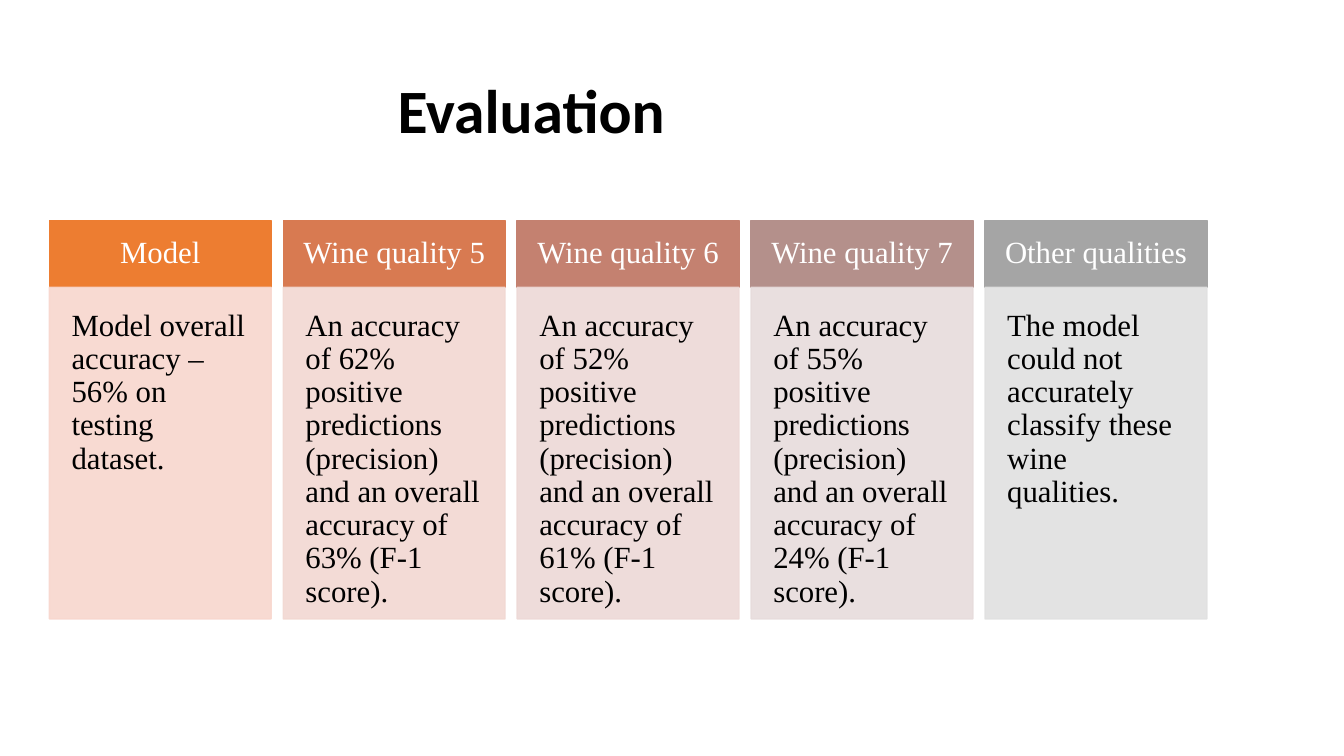
"""Build the model evaluation slide with five result columns."""
import lxml.etree
import pptx
import pptx.dml.color
import pptx.enum.shapes
import pptx.enum.text
import pptx.oxml.ns
import pptx.util

RGBColor = pptx.dml.color.RGBColor
Inches = pptx.util.Inches
Pt = pptx.util.Pt
ALIGN = pptx.enum.text.PP_ALIGN
ANCHOR = pptx.enum.text.MSO_ANCHOR

BLACK = RGBColor(0x00, 0x00, 0x00)
WHITE = RGBColor(0xFF, 0xFF, 0xFF)
ORANGE = RGBColor(0xED, 0x7D, 0x31)
COPPER = RGBColor(0xD8, 0x7A, 0x51)
ROSE = RGBColor(0xC4, 0x81, 0x70)
MAUVE = RGBColor(0xB4, 0x90, 0x8B)
GRAY = RGBColor(0xA5, 0xA5, 0xA5)
PALE_ORANGE = RGBColor(0xF8, 0xD7, 0xCE)
PALE_COPPER = RGBColor(0xF2, 0xD8, 0xD2)
PALE_ROSE = RGBColor(0xED, 0xD9, 0xD7)
PALE_MAUVE = RGBColor(0xE7, 0xDC, 0xDC)
PALE_GRAY = RGBColor(0xE1, 0xE1, 0xE1)

TITLE = "Evaluation"
SCORES = (
    "An accuracy of {}% positive predictions (precision) "
    "and an overall accuracy of {}% (F-1 score)."
)
RESULTS = [
    ("Model", "Model overall accuracy – 56% on testing dataset.", ORANGE, PALE_ORANGE),
    ("Wine quality 5", SCORES.format(62, 63), COPPER, PALE_COPPER),
    ("Wine quality 6", SCORES.format(52, 61), ROSE, PALE_ROSE),
    ("Wine quality 7", SCORES.format(55, 24), MAUVE, PALE_MAUVE),
    (
        "Other qualities",
        "The model could not accurately classify these wine qualities.",
        GRAY,
        PALE_GRAY,
    ),
]

SLIDE_WIDTH, SLIDE_HEIGHT = 13.33, 7.5
TITLE_BOX = (0.92, 0.4, 8.7, 1.45)
GRID_LEFT, GRID_TOP = 0.49, 2.19
COLUMN_WIDTH, COLUMN_STEP = 2.2, 2.32
HEADER_HEIGHT, BODY_HEIGHT = 0.66, 3.29
HEADER_INSET, BODY_INSET = 0.17, 0.22
BODY_OPACITY = 90


def write(shape, text, font, size, color, align, anchor, bold=False):
    frame = shape.text_frame
    frame.word_wrap = True
    frame.vertical_anchor = anchor
    paragraph = frame.paragraphs[0]
    paragraph.alignment = align
    paragraph.line_spacing = 0.9
    run = paragraph.add_run()
    run.text = text
    run.font.name = font
    run.font.size = Pt(size)
    run.font.bold = bold
    run.font.color.rgb = color


def add_panel(slide, box, color, inset, opacity=100):
    panel = slide.shapes.add_shape(
        pptx.enum.shapes.MSO_SHAPE.RECTANGLE, *map(Inches, box)
    )
    panel.shadow.inherit = False
    panel.fill.solid()
    panel.fill.fore_color.rgb = color
    panel.line.color.rgb = color
    panel.line.width = Pt(1)
    if opacity < 100:
        qn = pptx.oxml.ns.qn
        for element in panel.element.spPr.iter(qn("a:srgbClr")):
            alpha = lxml.etree.SubElement(element, qn("a:alpha"))
            alpha.set("val", str(opacity * 1000))
    frame = panel.text_frame
    frame.margin_left = frame.margin_right = Inches(inset)
    frame.margin_top = frame.margin_bottom = Inches(inset)
    return panel


def main():
    presentation = pptx.Presentation()
    presentation.slide_width = Inches(SLIDE_WIDTH)
    presentation.slide_height = Inches(SLIDE_HEIGHT)
    slide = presentation.slides.add_slide(presentation.slide_layouts[6])

    title = slide.shapes.add_textbox(*map(Inches, TITLE_BOX))
    write(title, TITLE, "Calibri", 44, BLACK, ALIGN.CENTER, ANCHOR.MIDDLE, True)

    for index, (heading, finding, color, pale) in enumerate(RESULTS):
        left = GRID_LEFT + index * COLUMN_STEP
        header_box = (left, GRID_TOP, COLUMN_WIDTH, HEADER_HEIGHT)
        body_box = (left, GRID_TOP + HEADER_HEIGHT, COLUMN_WIDTH, BODY_HEIGHT)
        header = add_panel(slide, header_box, color, HEADER_INSET)
        write(header, heading, "Times New Roman", 22, WHITE, ALIGN.CENTER, ANCHOR.MIDDLE)
        body = add_panel(slide, body_box, pale, BODY_INSET, BODY_OPACITY)
        write(body, finding, "Times New Roman", 22, BLACK, ALIGN.LEFT, ANCHOR.TOP)

    presentation.save("out.pptx")


if __name__ == "__main__":
    main()
